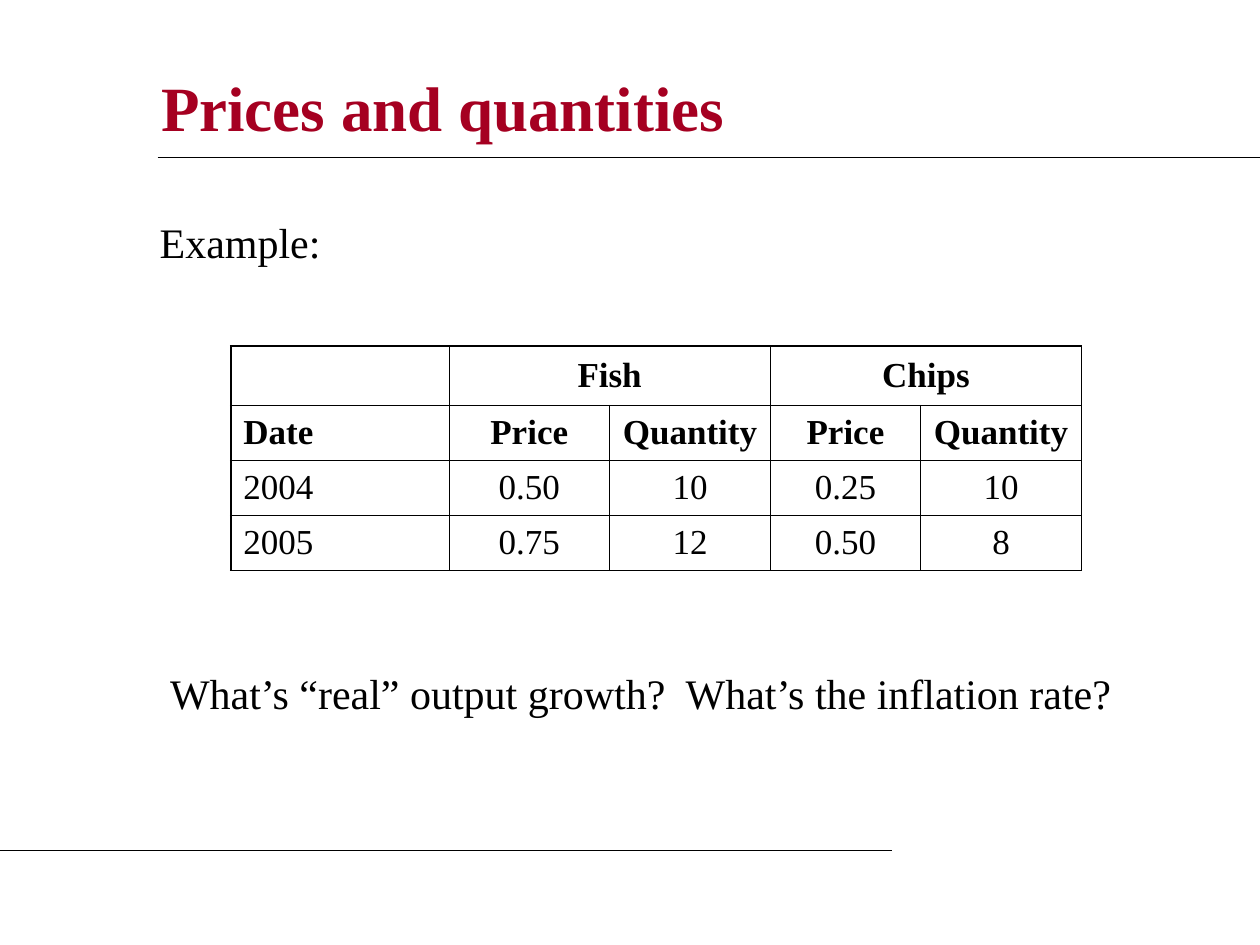
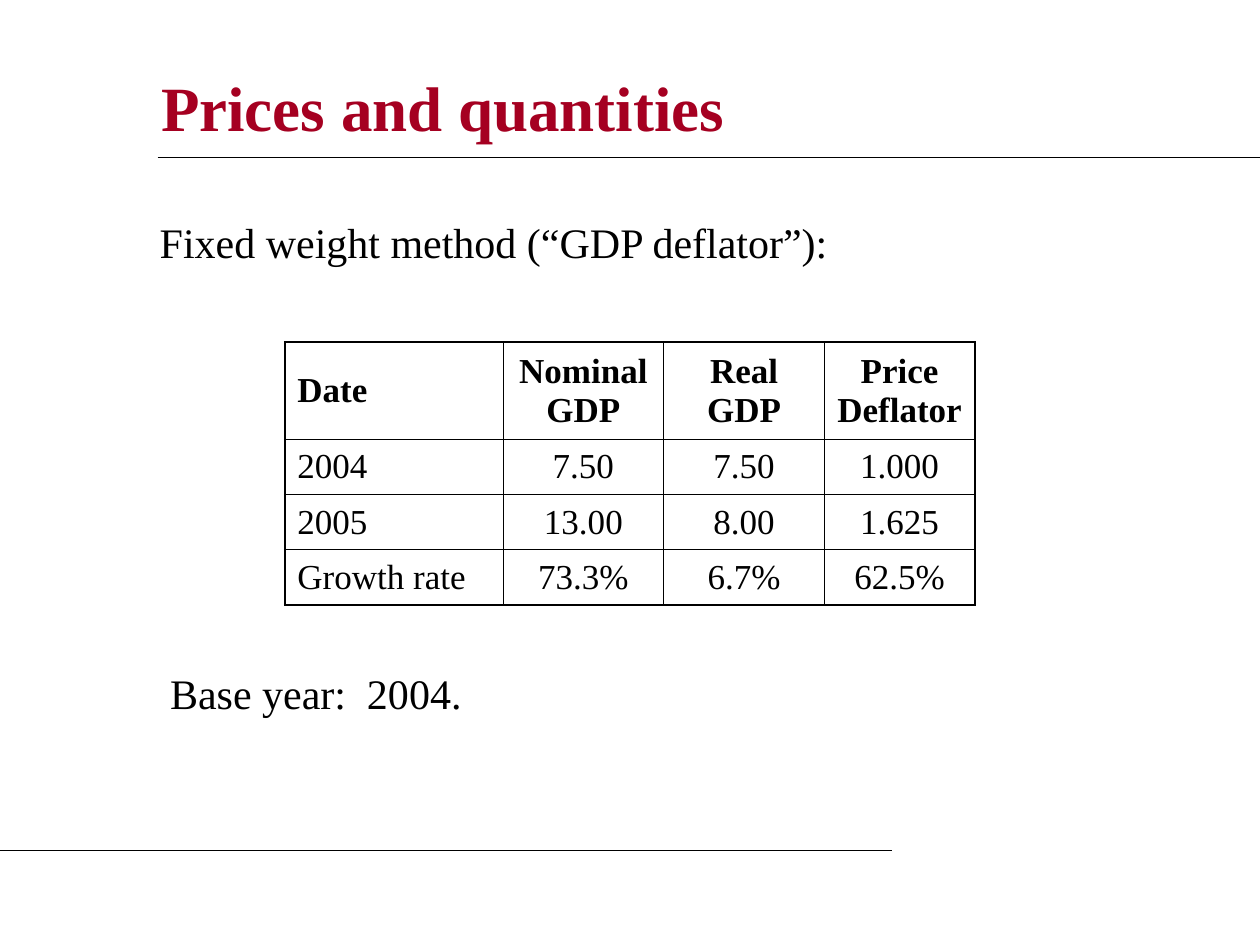
import pptx
import pptx.util
import pptx.dml.color
import pptx.enum.shapes
import pptx.enum.text
import pptx.oxml
import pptx.oxml.ns
from lxml import etree

Cm, Pt = pptx.util.Cm, pptx.util.Pt
PP_ALIGN = pptx.enum.text.PP_ALIGN
ANCHOR = pptx.enum.text.MSO_ANCHOR

# Shared style
FONT = "Times New Roman"
RED, BLACK = "A50021", "000000"
TITLE_SIZE, BODY_SIZE, TABLE_SIZE = 36, 24, 20
OUTER, INNER = 1.08, 0.45  # table border widths in points
LABEL_COL, WIDE_COL, NARROW_COL = 4.4, 3.24, 3.03
ROW_H = 1.11


def rgb(value):
    return pptx.dml.color.RGBColor.from_string(value)


def style_text(tf, size, color=BLACK, bold=False, align=PP_ALIGN.LEFT):
    for p in tf.paragraphs:
        p.alignment = align
        for r in p.runs:
            r.font.name = FONT
            r.font.size = Pt(size)
            r.font.bold = bold
            r.font.color.rgb = rgb(color)


def add_text(s, text, x, y, w, h, size=BODY_SIZE, color=BLACK, bold=False,
             anchor=ANCHOR.TOP):
    tf = s.shapes.add_textbox(Cm(x), Cm(y), Cm(w), Cm(h)).text_frame
    tf.word_wrap = True
    tf.vertical_anchor = anchor
    tf.text = text
    style_text(tf, size, color, bold)


def add_rule(s, x1, x2, y):
    line = s.shapes.add_connector(pptx.enum.shapes.MSO_CONNECTOR.STRAIGHT,
                                  Cm(x1), Cm(y), Cm(x2), Cm(y))
    line.line.color.rgb = rgb(BLACK)
    line.line.width = Pt(0.75)
    etree.SubElement(line._element.spPr, pptx.oxml.ns.qn("a:effectLst"))


def set_borders(cell, widths):
    """Draw the cell's left, right, top and bottom borders."""
    tcPr = cell._tc.get_or_add_tcPr()
    for i, (side, width) in enumerate(zip("LRTB", widths)):
        ln = pptx.oxml.parse_xml(
            f'<a:ln{side} {pptx.oxml.ns.nsdecls("a")} w="{int(Pt(width))}">'
            f'<a:solidFill><a:srgbClr val="{BLACK}"/></a:solidFill></a:ln{side}>')
        tcPr.insert(i, ln)


def add_data_table(s, rows, x, y, col_widths, row_heights, header_rows, merges=()):
    n_rows, n_cols = len(rows), len(col_widths)
    table = s.shapes.add_table(n_rows, n_cols, Cm(x), Cm(y), Cm(sum(col_widths)),
                               Cm(sum(row_heights))).table
    table.first_row = table.horz_banding = False
    for col, width in zip(table.columns, col_widths):
        col.width = Cm(width)
    for row, height in zip(table.rows, row_heights):
        row.height = Cm(height)
    for i, values in enumerate(rows):
        for j, value in enumerate(values):
            cell = table.cell(i, j)
            cell.fill.background()
            cell.vertical_anchor = ANCHOR.MIDDLE
            cell.text = value
            style_text(cell.text_frame, TABLE_SIZE, bold=i < header_rows,
                       align=PP_ALIGN.CENTER if j else PP_ALIGN.LEFT)
            on_edge = (j == 0, j == n_cols - 1, i == 0, i == n_rows - 1)
            set_borders(cell, [OUTER if edge else INNER for edge in on_edge])
    for row, first, last in merges:
        table.cell(row, first).merge(table.cell(row, last))


def add_base_slide(prs, lead, closing):
    """Add a slide with the title, both rules, and the text around the table."""
    s = prs.slides.add_slide(prs.slide_layouts[6])
    add_text(s, "Prices and quantities", 3, 1.19, 20.52, 1.9, TITLE_SIZE, RED,
             True, ANCHOR.MIDDLE)
    add_rule(s, 3.18, 25.4, 3.17)
    add_rule(s, 0, 17.99, 17.15)
    add_text(s, lead, 2.97, 4.25, 14.2, 1.27)
    add_text(s, closing, 3.18, 13.34, 20.52, 1.27)
    return s


def main():
    prs = pptx.Presentation()
    prs.slide_width, prs.slide_height = Cm(25.4), Cm(19.05)

    # Example economy
    s = add_base_slide(prs, "Example:",
                       "What’s “real” output growth?  What’s the inflation rate?")
    add_data_table(
        s,
        [["", "Fish", "", "Chips", ""],
         ["Date", "Price", "Quantity", "Price", "Quantity"],
         ["2004", "0.50", "10", "0.25", "10"],
         ["2005", "0.75", "12", "0.50", "8"]],
        4.65, 6.98, [LABEL_COL, WIDE_COL, WIDE_COL, NARROW_COL, WIDE_COL],
        [1.19] + [ROW_H] * 3, header_rows=2, merges=[(0, 1, 2), (0, 3, 4)])

    # Fixed weight method
    s = add_base_slide(prs, "Fixed weight method (“GDP deflator”):",
                       "Base year:  2004.")
    add_data_table(
        s,
        [["Date", "Nominal GDP", "Real GDP", "Price Deflator"],
         ["2004", "7.50", "7.50", "1.000"],
         ["2005", "13.00", "8.00", "1.625"],
         ["Growth rate", "73.3%", "6.7%", "62.5%"]],
        5.74, 6.9, [LABEL_COL, WIDE_COL, WIDE_COL, NARROW_COL],
        [1.96] + [ROW_H] * 3, header_rows=1)

    prs.save("out.pptx")


if __name__ == "__main__":
    main()
